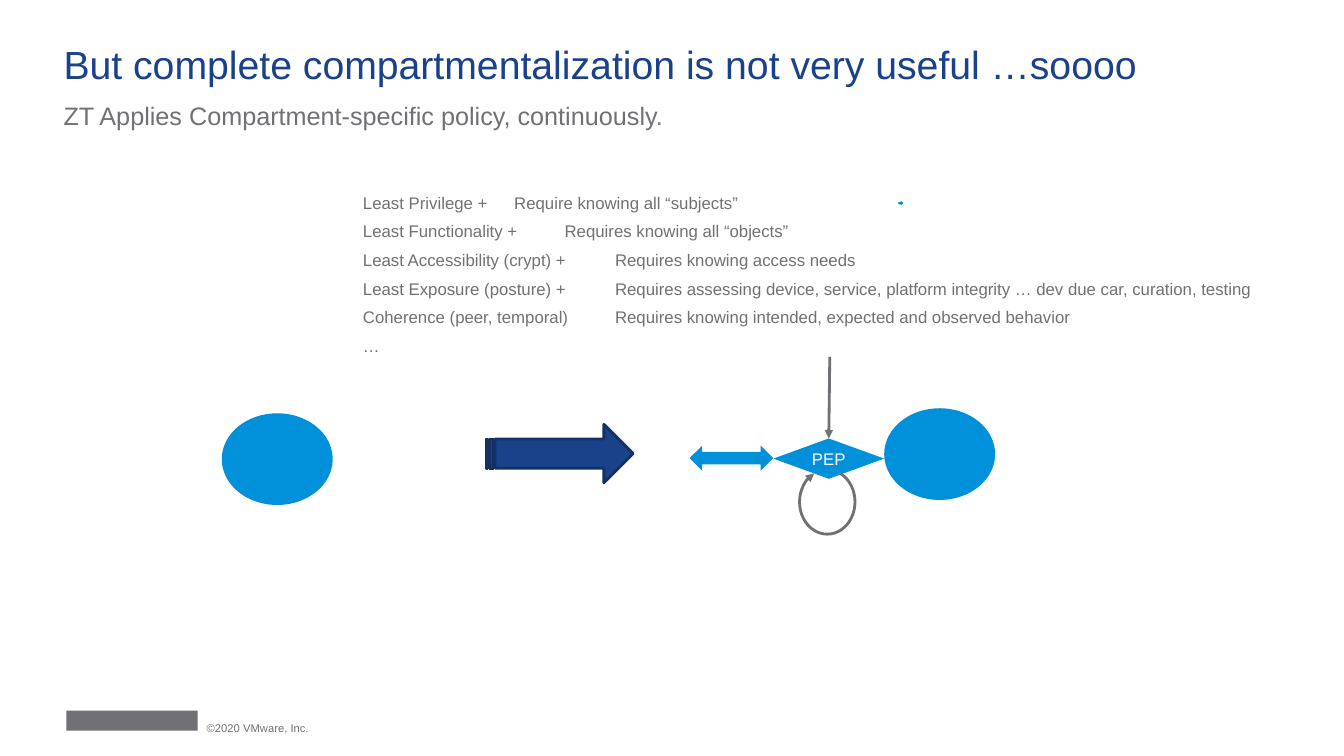
from pptx import Presentation
from pptx.dml.color import RGBColor
from pptx.enum.shapes import MSO_CONNECTOR, MSO_SHAPE as Preset
from pptx.enum.text import MSO_ANCHOR as Anchor, MSO_AUTO_SIZE, PP_ALIGN as Align
from pptx.oxml.ns import qn
from pptx.util import Inches, Pt
from lxml.etree import SubElement

NAVY = RGBColor(0x1A, 0x42, 0x8A)
DARK_NAVY = RGBColor(0x13, 0x31, 0x66)
BLUE = RGBColor(0x00, 0x91, 0xDA)
GREY = RGBColor(0x71, 0x70, 0x74)
WHITE = RGBColor(0xFF, 0xFF, 0xFF)

POLICIES = [
    ("Least Privilege +", "Require knowing all “subjects”"),
    ("Least Functionality +", "Requires knowing all “objects”"),
    ("Least Accessibility (crypt) +", "Requires knowing access needs"),
    ("Least Exposure (posture) +", "Requires assessing device, service, platform "
     "integrity … dev due car, curation, testing"),
    ("Coherence (peer, temporal)", "Requires knowing intended, expected and observed behavior"),
    ("…",),
]


class SlideBuilder:
    """Holds the slide and its style, and adds each kind of element."""

    font = "Arial"
    line_width = Pt(2)

    def __init__(self, slide):
        self.slide = slide
        self.shapes = slide.shapes

    def add_run(self, paragraph, text, size, color):
        run = paragraph.add_run()
        run.text = text
        run.font.name = self.font
        run.font.size = Pt(size)
        run.font.color.rgb = color

    def prepare_frame(self, shape, anchor):
        frame = shape.text_frame
        frame.margin_left = frame.margin_right = 0
        frame.margin_top = frame.margin_bottom = 0
        frame.word_wrap = True
        frame.auto_size = MSO_AUTO_SIZE.NONE
        frame.vertical_anchor = anchor
        return frame

    def place(self, shape, left, top, width, height):
        shape.left, shape.top = Inches(left), Inches(top)
        shape.width, shape.height = Inches(width), Inches(height)

    def title(self, text, *box):
        heading = self.shapes.title
        self.place(heading, *box)
        paragraph = self.prepare_frame(heading, Anchor.BOTTOM).paragraphs[0]
        paragraph.alignment = Align.LEFT
        paragraph.line_spacing = 0.9
        self.add_run(paragraph, text, 28, NAVY)

    def two_column_list(self, rows, tab, *box):
        body = self.slide.placeholders[1]
        self.place(body, *box)
        frame = self.prepare_frame(body, Anchor.TOP)
        for index, row in enumerate(rows):
            paragraph = frame.add_paragraph() if index else frame.paragraphs[0]
            properties = paragraph._p.get_or_add_pPr()
            properties.set("marL", "0")
            properties.set("indent", "0")
            SubElement(properties, qn("a:buNone"))
            tabs = SubElement(properties, qn("a:tabLst"))
            SubElement(tabs, qn("a:tab"), pos=str(Inches(tab)), algn="l")
            paragraph.space_before = Pt(0)
            paragraph.space_after = Pt(6)
            self.add_run(paragraph, "\t".join(row), 12, GREY)

    def text(self, text, size, anchor, *box):
        label = self.shapes.add_textbox(*map(Inches, box))
        paragraph = self.prepare_frame(label, anchor).paragraphs[0]
        self.add_run(paragraph, text, size, GREY)

    def shape(self, preset, fill, *box, outline=None, text=None):
        item = self.shapes.add_shape(preset, *map(Inches, box))
        item.shadow.inherit = False
        if fill is None:
            item.fill.background()
        else:
            item.fill.solid()
            item.fill.fore_color.rgb = fill
        if outline is None:
            item.line.fill.background()
        else:
            item.line.color.rgb = outline
            item.line.width = self.line_width
        if text:
            frame = self.prepare_frame(item, Anchor.MIDDLE)
            frame.paragraphs[0].alignment = Align.CENTER
            self.add_run(frame.paragraphs[0], text, 12, WHITE)
        return item

    def arrowhead(self, line):
        SubElement(line._get_or_add_ln(), qn("a:tailEnd"), type="triangle")

    def arrow_onto(self, target, left, top):
        start = Inches(left), Inches(top)
        arrow = self.shapes.add_connector(MSO_CONNECTOR.STRAIGHT, *start, *start)
        arrow.end_connect(target, 0)
        arrow.line.color.rgb = GREY
        arrow.line.width = self.line_width
        self.arrowhead(arrow.line)
        SubElement(arrow._element.spPr, qn("a:effectLst"))

    def loop(self, start_degrees, end_degrees, *box):
        arc = self.shape(Preset.ARC, None, *box, outline=GREY)
        for index, degrees in enumerate((start_degrees, end_degrees)):
            arc.adjustments[index] = degrees * 0.6  # 60000 units per degree
        self.arrowhead(arc.line)


def main():
    deck = Presentation()
    deck.slide_width, deck.slide_height = Inches(13.33), Inches(7.5)
    builder = SlideBuilder(deck.slides.add_slide(deck.slide_layouts[1]))

    # Footer
    builder.shape(Preset.RECTANGLE, GREY, 0.66, 7.05, 1.3, 0.2)
    builder.text("©2020 VMware, Inc.", 8, Anchor.MIDDLE, 2.05, 7.12, 1.89, 0.2)

    # Heading
    builder.title("But complete compartmentalization is not very useful …soooo",
                  0.63, 0.45, 12.03, 0.42)
    builder.text("ZT Applies Compartment-specific policy, continuously.",
                 18, Anchor.TOP, 0.63, 1, 6.75, 0.3)

    # Policy list
    builder.two_column_list(POLICIES, 2.32, 3.6, 1.91, 9.27, 1.63)
    builder.shape(Preset.STRIPED_RIGHT_ARROW, BLUE, 8.91, 1.99, 0.05, 0.05)

    # Subject and object, with the move from one to the other
    builder.shape(Preset.OVAL, BLUE, 2.2, 4.1, 1.1, 0.91)
    builder.shape(Preset.STRIPED_RIGHT_ARROW, NAVY, 4.82, 4.21, 1.46, 0.58,
                  outline=DARK_NAVY)
    builder.shape(Preset.OVAL, BLUE, 8.77, 4.05, 1.1, 0.91)

    # Policy enforcement point with its inputs
    builder.shape(Preset.LEFT_RIGHT_ARROW, BLUE, 6.84, 4.42, 0.83, 0.25)
    enforcement = builder.shape(Preset.FLOWCHART_DECISION, BLUE,
                                7.67, 4.35, 1.1, 0.4, text="PEP")
    builder.arrow_onto(enforcement, 8.23, 3.54)
    builder.loop(294.78, 245.44, 7.93, 4.66, 0.55, 0.64)

    deck.save("out.pptx")


if __name__ == "__main__":
    main()
